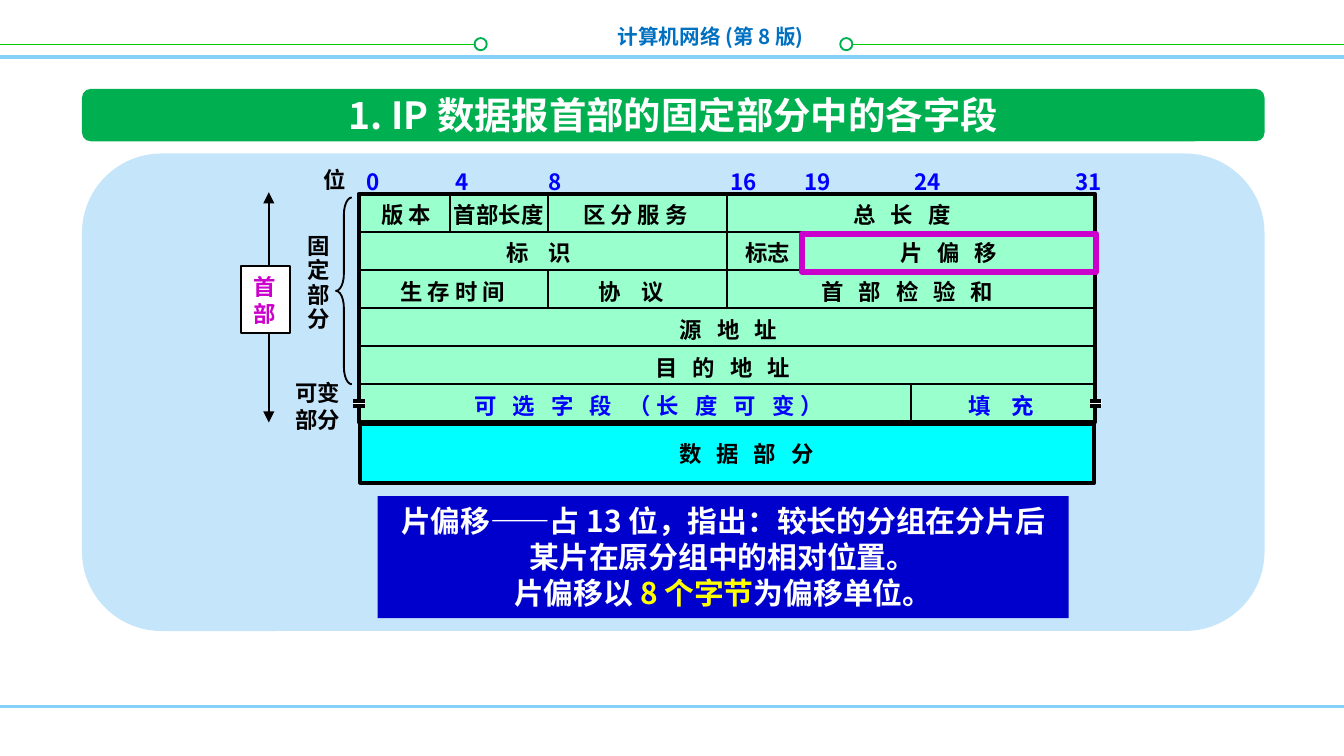
"""Build the slide on the fixed header fields of an IP datagram."""
from lxml import etree
from pptx import Presentation, util as u
from pptx.dml.color import RGBColor
from pptx.enum import shapes, text
from pptx.oxml.ns import qn

FONT = "Noto Sans CJK SC"
KIND = shapes.MSO_SHAPE
ALIGN = text.PP_ALIGN
color = RGBColor.from_string

deck = Presentation()
deck.slide_width, deck.slide_height = u.Cm(25.4), u.Cm(14.28)
page = deck.slides.add_slide(deck.slide_layouts[5])


def draw(kind, a, b, c, d, fill=None, line=None, width=1):
    """Add a shape at left, top, width, height, or a line between two points."""
    place = [u.Cm(value) for value in (a, b, c, d)]
    if kind == "line":
        item = page.shapes.add_connector(shapes.MSO_CONNECTOR.STRAIGHT, *place)
    else:
        item = page.shapes.add_shape(kind, *place)
        item.shadow.inherit = False
        if fill:
            item.fill.solid()
            item.fill.fore_color.rgb = color(fill)
        else:
            item.fill.background()
    if line:
        item.line.color.rgb = color(line)
        item.line.width = u.Pt(width)
    else:
        item.line.fill.background()
    if kind == "line":
        etree.SubElement(item._element.spPr, qn("a:effectLst"))
    return item


def write(item, rows, size=12, align=ALIGN.LEFT, wrap=False, spacing=0, leading=None,
          anchor=text.MSO_ANCHOR.TOP):
    """Fill a text frame; each row is a list of (words, hex colour) runs."""
    frame = item.text_frame
    frame.word_wrap = wrap
    frame.auto_size = text.MSO_AUTO_SIZE.SHAPE_TO_FIT_TEXT
    frame.vertical_anchor = anchor
    for index, row in enumerate(rows):
        para = frame.add_paragraph() if index else frame.paragraphs[0]
        para.alignment = align
        if leading:
            para.line_spacing = leading
        for words, ink in row:
            span = para.add_run()
            span.text = words
            span.font.name, span.font.size, span.font.bold = FONT, u.Pt(size), True
            span.font.color.rgb = color(ink)
            props = span._r.get_or_add_rPr()
            etree.SubElement(props, qn("a:ea"), typeface=FONT)
            if spacing:
                props.set("spc", str(spacing))


draw("line", 0, 13.34, 25.4, 13.34, line="85D1F7", width=1.5)
draw("line", 0, 1.07, 25.4, 1.07, line="85D1F7", width=2)
box = page.shapes.add_textbox(u.Cm(11.3), u.Cm(0.33), u.Cm(4.14), u.Cm(0.74))
write(box, [[("计算机网络 (第 8 版)", "0070C0")]], 11, ALIGN.RIGHT, True)
for start, end, dot in [(0, 9.12, 8.97), (15.88, 25.4, 15.88)]:
    draw("line", start, 0.84, end, 0.84, line="00CC00")
    draw(KIND.OVAL, dot, 0.72, 0.23, 0.23, "FFFFFF", "00B050")

banner = draw(KIND.ROUNDED_RECTANGLE, 1.55, 1.68, 22.35, 0.99, "00B050")
title = page.shapes.title
banner._element.addnext(title._element)
title.left, title.top, title.width, title.height = u.Cm(6.02), u.Cm(1.6), u.Cm(13.41), u.Cm(1.12)
write(title, [[("1. IP 数据报首部的固定部分中的各字段", "FFFFFF")]], 20, ALIGN.CENTER,
      anchor=text.MSO_ANCHOR.MIDDLE)
draw(KIND.ROUNDED_RECTANGLE, 1.55, 2.9, 22.35, 9.02, "C5E5FB")

LEFT, TOP, WIDTH, ROW = 6.78, 3.66, 13.92, 0.72
header = draw(KIND.RECTANGLE, LEFT, TOP, WIDTH, 6 * ROW, "99FFCC", "000000", 2)
draw(KIND.RECTANGLE, 6.81, 8, 13.87, 1.12, "00FFFF", "000000", 2.25)
for row in range(1, 6):
    rule = draw("line", LEFT, TOP + row * ROW, LEFT + WIDTH, TOP + row * ROW, line="000000")
    if row == 3:
        rule.begin_connect(header, 1)
        rule.end_connect(header, 3)
for x, first, last in [(8.51, 0, 1), (10.36, 0, 1), (10.36, 2, 3), (13.74, 0, 3),
                       (15.14, 1, 2), (17.22, 5, 6)]:
    divider = draw("line", x, TOP + first * ROW, x, TOP + last * ROW, line="000000")
    if (first, last) == (0, 3):
        divider.begin_connect(header, 0)

fields = [
    ("版 本", 0, 6.96, 1.5, 0, "000000"),
    ("首部长度", 0, 8.33, 2.21, 0, "000000"),
    ("区 分 服 务", 0, 10.77, 2.62, 0, "000000"),
    ("总 长 度", 0, 15.88, 2.57, 270, "000000"),
    ("标 识", 1, 9.32, 1.88, 400, "000000"),
    ("标志", 1, 13.84, 1.37, 0, "000000"),
    ("片 偏 移", 1, 16.76, 2.57, 270, "000000"),
    ("生 存 时 间", 2, 7.32, 2.62, 0, "000000"),
    ("协 议", 2, 11.07, 1.88, 400, "000000"),
    ("首 部 检 验 和", 2, 15.27, 4.19, 270, "000000"),
    ("源 地 址", 3, 12.6, 2.57, 270, "000000"),
    ("目 的 地 址", 4, 12.14, 3.38, 270, "000000"),
    ("可 选 字 段 （长 度 可 变）", 5, 8.71, 7.37, 300, "0000FF"),
    ("填 充", 5, 18.06, 1.88, 400, "0000FF"),
]
for words, row, x, width, spacing, ink in fields:
    box = page.shapes.add_textbox(u.Cm(x), u.Cm(TOP + 0.02 + row * ROW), u.Cm(width), u.Cm(0.76))
    write(box, [[(words, ink)]], spacing=spacing)
box = page.shapes.add_textbox(u.Cm(11.53), u.Cm(8.18), u.Cm(5.16), u.Cm(0.76))
write(box, [[("数 据 部 分", "000000")]], align=ALIGN.CENTER, wrap=True, spacing=270)

for bit, x in [("0", 6.68), ("4", 8.36), ("8", 10.11), ("16", 13.56), ("19", 14.96),
               ("24", 17.04), ("31", 20.07)]:
    box = page.shapes.add_textbox(u.Cm(x), u.Cm(3.05), u.Cm(0.48 + 0.28 * len(bit)), u.Cm(0.76))
    write(box, [[(bit, "0000FF")]])
for rows, x, y, width, height, leading in [
    (["位"], 5.87, 3.02, 0.94, 0.76, None),
    (["固", "定", "部", "分"], 5.56, 4.32, 0.94, 2.11, 0.9),
    (["可变", "部分"], 5.33, 7.04, 1.37, 1.27, None),
]:
    box = page.shapes.add_textbox(u.Cm(x), u.Cm(y), u.Cm(width), u.Cm(height))
    write(box, [[(words, "000000")] for words in rows], leading=leading)

for x in (6.68, 20.6):
    draw(KIND.RECTANGLE, x, 7.56, 0.22, 0.1, "FFFFFF")
    for y in (7.57, 7.67):
        draw("line", x, y, x + 0.21, y, line="000000", width=2)

brace = draw(KIND.LEFT_BRACE, 6.35, 3.73, 0.3, 3.53, line="000000")
brace.adjustments[0] = 1.08
extent = draw("line", 5.08, 3.63, 5.08, 7.98, line="000000")
for end in ("a:headEnd", "a:tailEnd"):
    etree.SubElement(extent.line._get_or_add_ln(), qn(end), type="triangle")
label = draw(KIND.RECTANGLE, 4.55, 5.03, 0.94, 1.27, "FFFFFF", "000000")
write(label, [[("首", "CC00CC")], [("部", "CC00CC")]])

note = draw(KIND.RECTANGLE, 7.14, 9.37, 13.06, 2.31, "0000CC")
write(note, [
    [("片偏移——占 13 位，指出：较长的分组在分片后", "FFFFFF")],
    [("某片在原分组中的相对位置。", "FFFFFF")],
    [("片偏移以 ", "FFFFFF"), ("8 个字节", "FFFF00"), ("为偏移单位。", "FFFFFF")],
], 16, ALIGN.CENTER)
draw(KIND.RECTANGLE, 15.16, 4.42, 5.56, 0.72, line="CC00CC", width=3)

deck.save("out.pptx")
